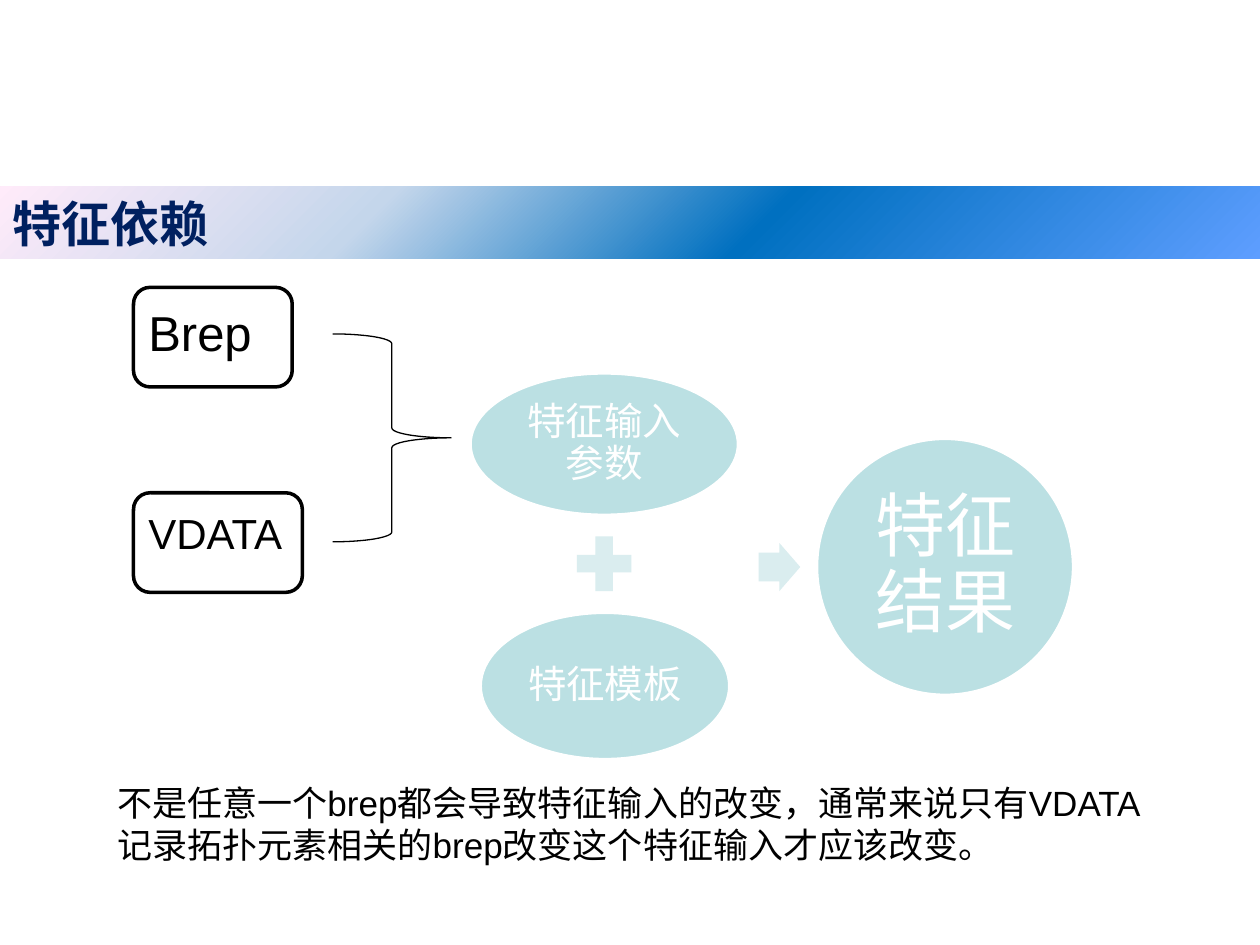
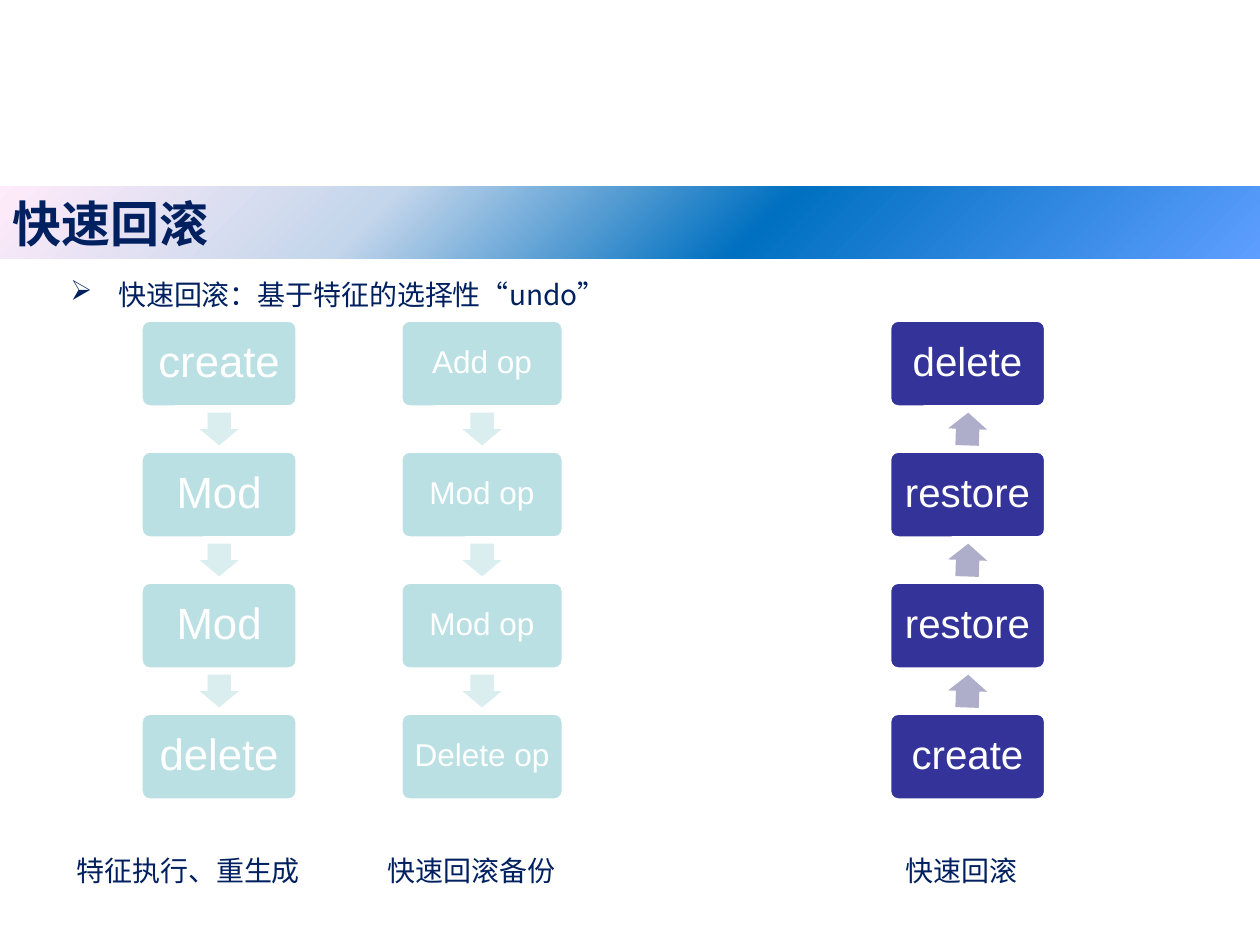
from lxml import etree
from pptx import Presentation
from pptx.dml.color import RGBColor as RGB
from pptx.enum.shapes import MSO_SHAPE as Kind
from pptx.enum.text import MSO_ANCHOR as Anchor, PP_ALIGN as Align
from pptx.oxml.ns import qn
from pptx.util import Pt

HEX = {
    "navy": "002060", "black": "000000", "white": "FFFFFF",
    "teal": "BBE0E3", "mist": "DAEDEF", "indigo": "333399", "haze": "AEAECA",
}
BAND = [(0, "5E9EFF"), (40, "0070C0"), (70, "C4D6EB"), (100, "FFEBFA")]
SANS, HAN = "Arial", "Noto Sans CJK SC"
WIDE, HIGH = 720, 540


def tint(name):
    return RGB.from_string(HEX[name])


def write(shape, text, size, color, font=SANS, bold=False, pad=None, align=Align.LEFT,
          anchor=Anchor.TOP, lead=None):
    """Put one styled paragraph in a shape and return the paragraph."""
    frame = shape.text_frame
    frame.word_wrap = True
    frame.vertical_anchor = anchor
    if pad is not None:
        frame.margin_left = frame.margin_right = Pt(pad)
        frame.margin_top = frame.margin_bottom = Pt(pad)
    frame.text = text
    para = frame.paragraphs[0]
    para.alignment = align
    if lead:
        para.line_spacing = lead
    for run in para.runs:
        run.font.name, run.font.size, run.font.bold = font, Pt(size), bold
        run.font.color.rgb = tint(color)
        if font == HAN:
            east = etree.SubElement(run.font._element, qn("a:ea"))
            east.set("typeface", font)
    return para


def draw(slide, kind, box, fill=None, line=None, width=2, adjust=(), turn=0):
    shape = slide.shapes.add_shape(kind, *map(Pt, box))
    shape.shadow.inherit = False
    shape.rotation = turn
    for i, value in enumerate(adjust):
        shape.adjustments[i] = value
    if fill:
        shape.fill.solid()
        shape.fill.fore_color.rgb = tint(fill)
    else:
        shape.fill.background()
    if line:
        shape.line.color.rgb = tint(line)
        shape.line.width = Pt(width)
    else:
        shape.line.fill.background()
    return shape


def node(slide, kind, box, text, size, pad, fill="teal", adjust=()):
    """Filled shape with centred white text."""
    shape = draw(slide, kind, box, fill, "white", adjust=adjust)
    write(shape, text, size, "white", pad=pad, align=Align.CENTER,
          anchor=Anchor.MIDDLE, lead=0.9)


def arrow(slide, box, fill, turn=0):
    draw(slide, Kind.RIGHT_ARROW, box, fill, adjust=(0.6, 0.5), turn=turn)


def text_box(slide, box, text, size, color, **style):
    shape = slide.shapes.add_textbox(*map(Pt, box))
    return write(shape, text, size, color, **style)


def note(slide, box, text):
    """Navy caption with loose line spacing."""
    para = text_box(slide, box, text, 16, "navy", font=HAN, lead=1.5)
    para.space_before = para.space_after = Pt(6)
    return para


def bullet(para, sign, left, hang):
    props = para._p.get_or_add_pPr()
    props.set("marL", str(Pt(left)))
    props.set("indent", str(-Pt(hang)))
    etree.SubElement(props, qn("a:buChar")).set("char", sign)


def title(slide, text, box=(0, 106.6, WIDE, 41.2)):
    band = draw(slide, Kind.RECTANGLE, box)
    grad = etree.Element(qn("a:gradFill"), rotWithShape="1")
    stops = etree.SubElement(grad, qn("a:gsLst"))
    for at, color in BAND:
        stop = etree.SubElement(stops, qn("a:gs"), pos=str(at * 1000))
        etree.SubElement(stop, qn("a:srgbClr"), val=color)
    etree.SubElement(grad, qn("a:lin"), ang=str(225 * 60000), scaled="0")
    plain = band._element.spPr.find(qn("a:noFill"))
    plain.getparent().replace(plain, grad)
    write(band, text, 28, "navy", font=HAN, bold=True, anchor=Anchor.MIDDLE)


def inputs(slide, x, y):
    """Two source boxes joined by a brace."""
    draw(slide, Kind.RIGHT_BRACE, (x + 113.8, y + 26.6, 67.7, 118.8),
         line="black", width=0.75)
    for i, (text, size, wide) in enumerate([("Brep", 28, 90.7), ("VDATA", 24, 96.5)]):
        box = draw(slide, Kind.ROUNDED_RECTANGLE, (x, y + i * 117.4, wide, 56.9),
                   "white", "black")
        write(box, text, size, "black", pad=5.76)


def merge(slide, x, y):
    """Parameters plus template lead to the result."""
    node(slide, Kind.OVAL, (x, y, 153.4, 81.4), "特征输入参数", 22, 2.2)
    draw(slide, Kind.MATH_PLUS, (x + 55.4, y + 87.8, 42.5, 42.5), "mist")
    node(slide, Kind.OVAL, (x + 5.8, y + 136.8, 142.6, 84.2), "特征模板", 22, 2.2)
    arrow(slide, (x + 164.9, y + 97.2, 23.8, 27.4), "mist")
    node(slide, Kind.OVAL, (x + 198, y + 37.4, 146.9, 146.9), "特征结果", 40, 4.3)


def chain(slide, box, texts, size, pad, fill="teal", tip="mist", turn=90):
    """Column of equal steps with an arrow centred in each gap."""
    x, y, wide, high = box
    step, tall = (high - 49.7) / (len(texts) - 1), 49.7
    aw, ah = 18.7, 22.3
    for i, text in enumerate(texts):
        top = y + i * step
        node(slide, Kind.ROUNDED_RECTANGLE, (x, top, wide, tall), text, size, pad,
             fill, adjust=(0.1,))
        if i < len(texts) - 1:
            mid = top + (tall + step) / 2
            arrow(slide, (x + (wide - aw) / 2, mid - ah / 2, aw, ah), tip, turn)


def depend(slide):
    """Slide on feature dependency."""
    merge(slide, 268.6, 213.1)
    inputs(slide, 76.3, 164.2)
    title(slide, "特征依赖")
    text_box(slide, (59.8, 442.8, 607, 55.4),
             "不是任意一个brep都会导致特征输入的改变，通常来说只有"
             "VDATA记录拓扑元素相关的brep改变这个特征输入才应该改变。", 20, "black")


def rollback(slide):
    title(slide, "快速回滚")
    lead = note(slide, (-2.9, 145.4, 674.6, 36.7), "快速回滚：基于特征的选择性“undo”")
    bullet(lead, "➢", 63.4, 27.4)
    top, high = 182.9, 274.3
    chain(slide, (80.6, top, 89.3, high), ["create", "Mod", "Mod", "delete"], 25, 7)
    chain(slide, (229, top, 92.9, high),
          ["Add op", "Mod op", "Mod op", "Delete op"], 18, 5)
    chain(slide, (508.3, top, 89.3, high), ["delete", "restore", "restore", "create"],
          23, 6.6, "indigo", "haze", 272)
    for x, wide, text in [(36.7, 159.8, "特征执行、重生成"),
                          (214.6, 114.5, "快速回滚备份"),
                          (510.5, 98.6, "快速回滚")]:
        note(slide, (x, 474.5, wide, 32), text)


def main():
    deck = Presentation()
    deck.slide_width, deck.slide_height = Pt(WIDE), Pt(HIGH)
    for build in (depend, rollback):
        build(deck.slides.add_slide(deck.slide_layouts[6]))
    deck.save("out.pptx")


if __name__ == "__main__":
    main()
